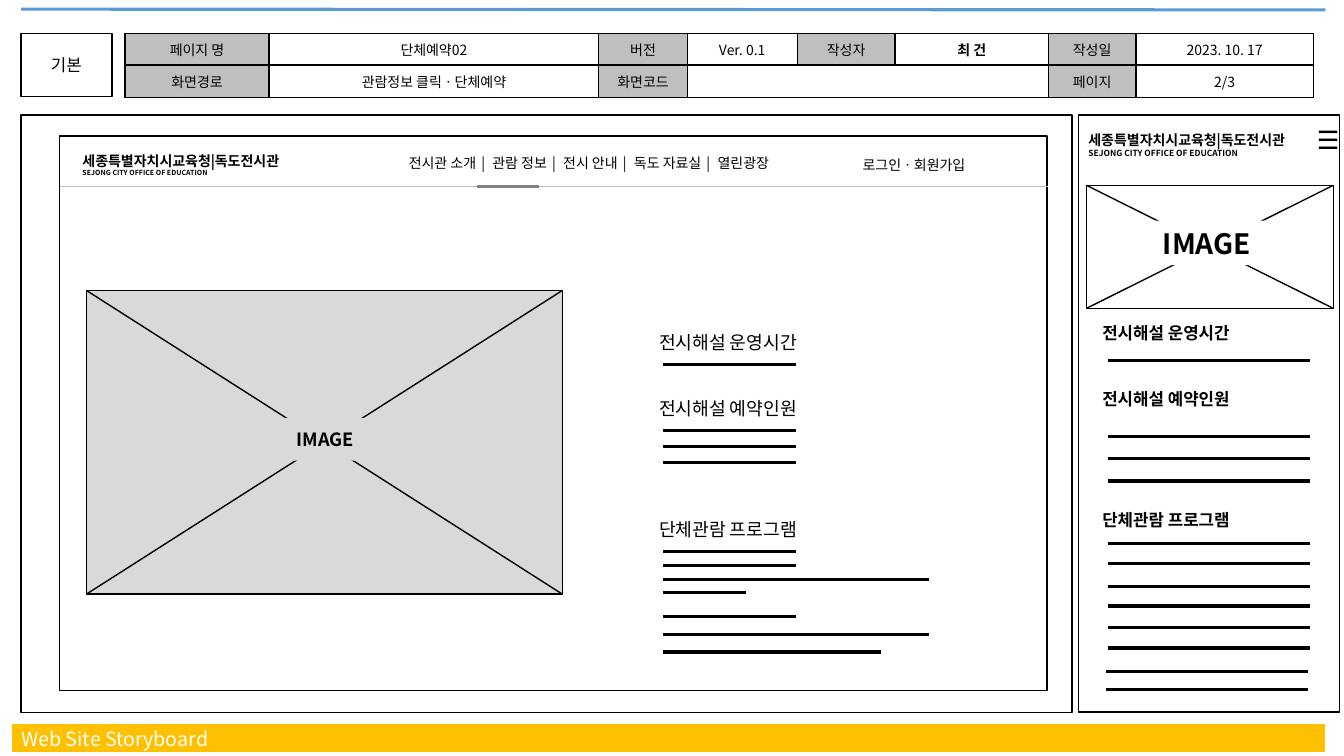
from itertools import pairwise

from lxml.etree import SubElement as Sub
from pptx import Presentation
from pptx.dml.color import RGBColor
from pptx.enum.shapes import MSO_CONNECTOR as Link, MSO_SHAPE as Form
from pptx.enum.text import MSO_ANCHOR as Anchor, MSO_AUTO_SIZE as Fit, PP_ALIGN as Align
from pptx.oxml.ns import qn
from pptx.util import Cm, Pt

BLACK = RGBColor(0x00, 0x00, 0x00)
WHITE = RGBColor(0xFF, 0xFF, 0xFF)
BLUE = RGBColor(0x5B, 0x9B, 0xD5)
GOLD = RGBColor(0xFF, 0xC0, 0x00)
PALE = RGBColor(0xD9, 0xD9, 0xD9)
GREY = RGBColor(0xBF, 0xBF, 0xBF)
DARK = RGBColor(0x80, 0x80, 0x80)
FONT = "Noto Sans CJK KR"
BAR = " | "

MENU = ["전시관 소개", "관람 정보", "전시 안내", "독도 자료실", "열린광장"]
HEADS = ["전시해설 운영시간", "전시해설 예약인원", "단체관람 프로그램"]
OWNER = "세종특별자치시교육청|독도전시관"
OFFICE = "SEJONG CITY OFFICE OF EDUCATION"

EDGES = [3.15, 6.78, 15.09, 17.32, 20.09, 22.56, 26.42, 28.63, 33.1]
ROWS = [
    ["페이지 명", "단체예약02", "버전", "Ver. 0.1", "작성자", "최 건", "작성일", "2023. 10. 17"],
    ["화면경로", "관람정보 클릭ㆍ단체예약", "화면코드", "", "", "", "페이지", "2/3"],
]
LABELS = {"페이지 명", "버전", "작성자", "작성일", "화면경로", "화면코드", "페이지"}

WIDE_BARS = [
    (9.19, 3.35), (10.85, 3.35), (11.25, 3.35), (11.66, 3.35), (13.89, 3.35),
    (14.25, 3.35), (14.61, 6.71), (14.94, 2.08), (15.54, 3.35), (15.98, 6.71),
    (16.43, 5.49),
]
SLIM_BARS = [9.09, 11, 11.56, 12.12, 13.69, 14.2, 14.78, 15.27, 15.82, 16.33]
LOW_BARS = [16.92, 17.37]


def write(frame, *lines, size=10, small=None, bold=False, color=BLACK,
          align=Align.LEFT, anchor=Anchor.TOP):
    frame.word_wrap = True
    frame.auto_size = Fit.NONE
    frame.vertical_anchor = anchor
    for i, line in enumerate(lines):
        para = frame.add_paragraph() if i else frame.paragraphs[0]
        para.alignment = align
        for part in [line] if isinstance(line, str) else line:
            run = para.add_run()
            run.text = part
            font = run.font
            font.name = FONT
            font.size = Pt(small if i and small else size)
            font.bold = bold
            font.color.rgb = color
            props = run._r.get_or_add_rPr()
            Sub(props, qn("a:ea")).set("typeface", FONT)
            if part == BAR:
                props.set("spc", "150")


def note(slide, area, *lines, **style):
    box = slide.shapes.add_textbox(*map(Cm, area))
    write(box.text_frame, *lines, **style)


def block(slide, area, fill=WHITE, edge=BLACK):
    box = slide.shapes.add_shape(Form.RECTANGLE, *map(Cm, area))
    box.shadow.inherit = False
    box.fill.solid()
    box.fill.fore_color.rgb = fill
    if edge is None:
        box.line.fill.background()
    else:
        box.line.color.rgb = edge
        box.line.width = Pt(1)
    return box


def rule(slide, x1, y1, x2, y2, color=BLACK, width=2.25):
    line = slide.shapes.add_connector(Link.STRAIGHT, *map(Cm, (x1, y1, x2, y2)))
    line.line.color.rgb = color
    line.line.width = Pt(width)
    Sub(line._element.spPr, qn("a:effectLst"))


def photo(slide, area, label, fill, size):
    x, y, w, h = area
    block(slide, area, fill)
    rule(slide, x, y, x + w, y + h, width=1)
    rule(slide, x, y + h, x + w, y, width=1)
    box = block(slide, label, fill, None)
    write(box.text_frame, "IMAGE", size=size, bold=True,
          align=Align.CENTER, anchor=Anchor.MIDDLE)


def border(cell):
    props = cell._tc.get_or_add_tcPr()
    for side in ("lnL", "lnR", "lnT", "lnB"):
        line = Sub(props, qn(f"a:{side}"), w=str(Pt(1)))
        Sub(Sub(line, qn("a:solidFill")), qn("a:srgbClr"), val=str(BLACK))


def header(slide):
    table = slide.shapes.add_table(
        2, len(EDGES) - 1, Cm(EDGES[0]), Cm(0.84), Cm(EDGES[-1] - EDGES[0]), Cm(1.6)
    ).table
    table.first_row = False
    table.horz_banding = False
    for col, (left, right) in zip(table.columns, pairwise(EDGES)):
        col.width = Cm(right - left)
    for r, row in enumerate(ROWS):
        table.rows[r].height = Cm(0.8)
        for c, word in enumerate(row):
            cell = table.cell(r, c)
            border(cell)
            cell.fill.solid()
            cell.fill.fore_color.rgb = GREY if word in LABELS else WHITE
            cell.margin_top = cell.margin_bottom = Cm(0.05)
            write(cell.text_frame, word, bold=word == "최 건", align=Align.CENTER)
            cell.vertical_anchor = Anchor.MIDDLE
    table.cell(1, 3).merge(table.cell(1, 5))


def desktop(slide):
    block(slide, (0.53, 2.9, 26.49, 15.06))
    block(slide, (1.5, 3.43, 24.89, 13.97))
    note(slide, (1.83, 3.71, 6.4, 0.89), OWNER, OFFICE, small=5, bold=True)
    items = [MENU[0]]
    for name in MENU[1:]:
        items += [BAR, name]
    note(slide, (9.19, 3.78, 11.3, 0.69), items, align=Align.CENTER)
    note(slide, (21.49, 3.81, 3.35, 0.69), "로그인ㆍ회원가입")
    rule(slide, 1.5, 4.7, 26.42, 4.7, GREY, 0.5)
    rule(slide, 12.01, 4.7, 13.59, 4.7, DARK)
    photo(slide, (2.18, 7.32, 11.99, 7.65), (4.88, 10.54, 6.63, 1.07), PALE, 13)
    for head, y in zip(HEADS, (8.23, 9.88, 12.93)):
        note(slide, (16.36, y, 4.34, 0.81), head, size=13)
    for y, size in WIDE_BARS:
        rule(slide, 16.71, y, 16.71 + size, y)


def mobile(slide):
    block(slide, (27.18, 2.9, 6.58, 15.04))
    photo(slide, (27.38, 4.67, 6.22, 3.1), (28.8, 5.56, 3.23, 1.12), WHITE, 20)
    for head, y in zip(HEADS, (7.7, 9.37, 12.42)):
        note(slide, (27.53, y, 4.17, 1.35), head, size=12, bold=True, anchor=Anchor.MIDDLE)
    for x, bars in ((27.91, SLIM_BARS), (27.86, LOW_BARS)):
        for y in bars:
            rule(slide, x, y, x + 5.11, y)
    note(slide, (32.94, 3.02, 0.76, 1.12), "☰", size=18)
    note(slide, (27.18, 3.18, 5.94, 1.02), OWNER, OFFICE, small=6, bold=True)


def footer(slide):
    rule(slide, 0.3, 18.59, 33.4, 18.59, GOLD, 20)
    title = slide.shapes.title
    title.left, title.top, title.width, title.height = map(Cm, (0.28, 18.19, 6.63, 0.86))
    write(title.text_frame, "Web Site Storyboard", size=14, color=WHITE)
    slide.shapes._spTree.append(title._element)


def main():
    deck = Presentation()
    deck.slide_width, deck.slide_height = Cm(33.87), Cm(19.05)
    slide = deck.slides.add_slide(deck.slide_layouts[5])
    rule(slide, 0.53, 0.23, 33.4, 0.25, BLUE)
    basic = block(slide, (0.53, 0.84, 2.29, 1.6))
    write(basic.text_frame, "기본", size=12, align=Align.CENTER, anchor=Anchor.MIDDLE)
    header(slide)
    desktop(slide)
    mobile(slide)
    footer(slide)
    deck.save("out.pptx")


if __name__ == "__main__":
    main()
